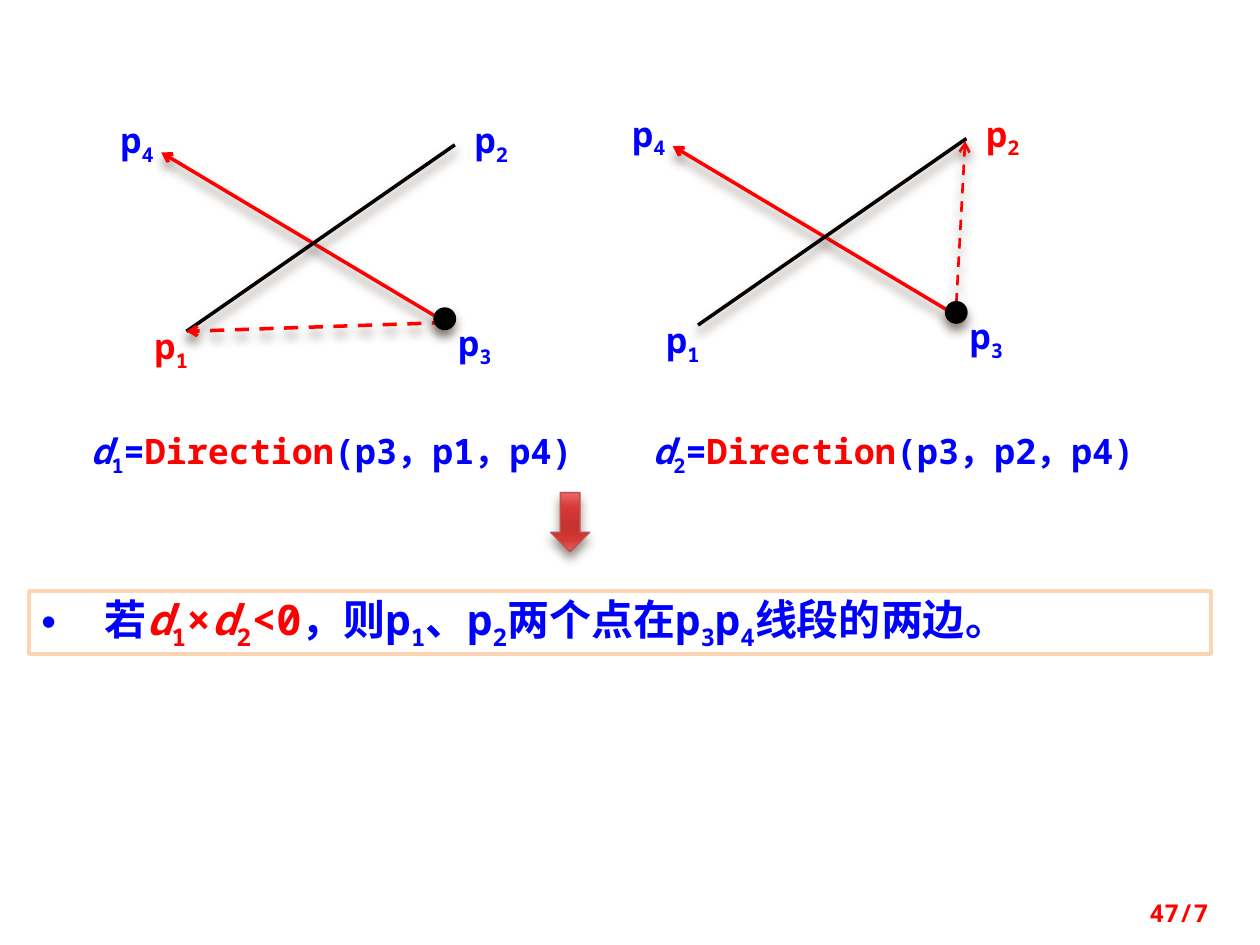
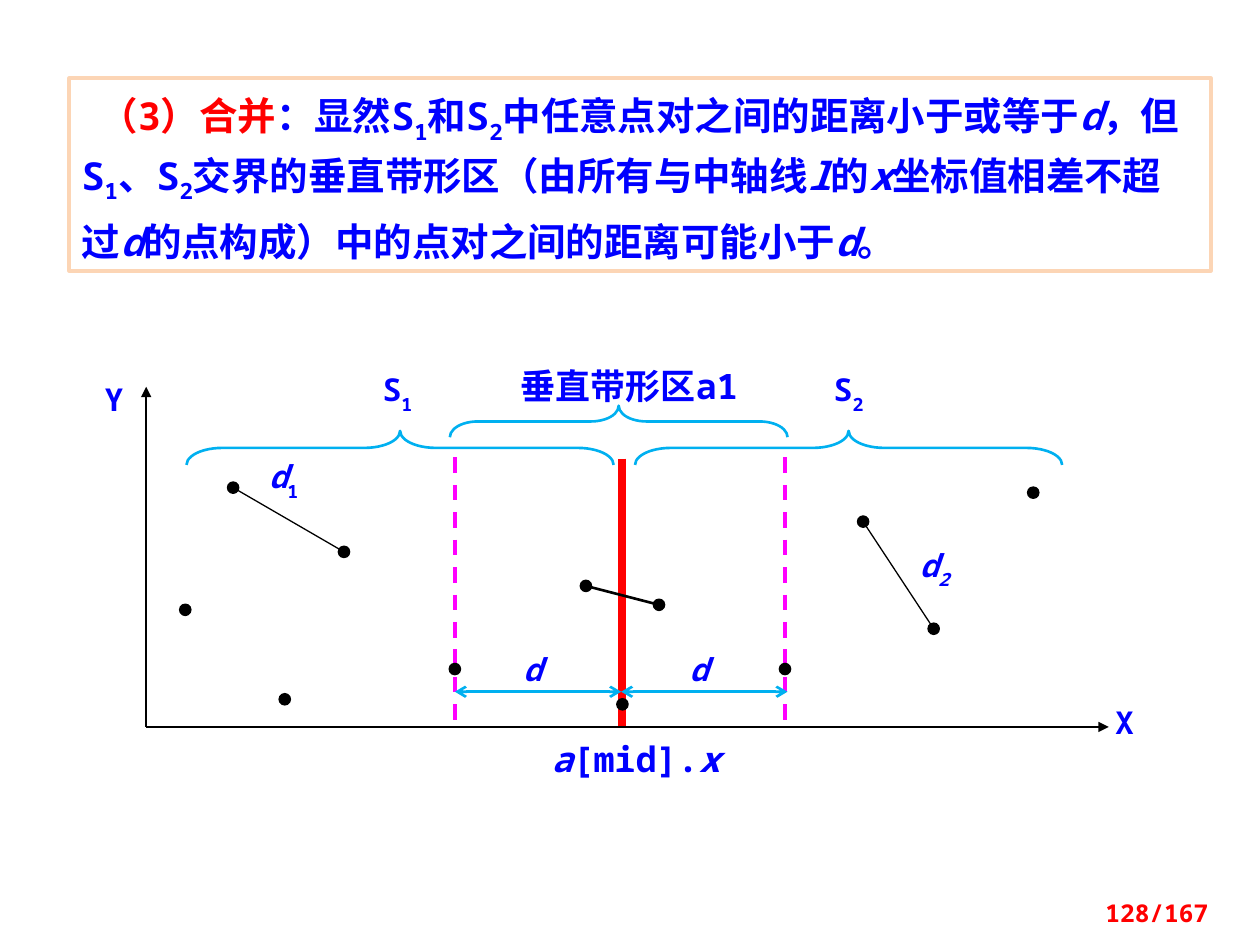
from pptx import Presentation
from pptx.dml.color import RGBColor
from pptx.enum.dml import MSO_LINE
from pptx.enum.shapes import MSO_CONNECTOR, MSO_SHAPE
from pptx.enum.text import MSO_ANCHOR, PP_ALIGN
from pptx.oxml.ns import qn
from pptx.util import Inches, Pt
from lxml.etree import SubElement

FONT = "Noto Sans Mono"
BLUE = RGBColor(0x00, 0x00, 0xFF)
RED = RGBColor(0xFF, 0x00, 0x00)
BLACK = RGBColor(0x00, 0x00, 0x00)
WHITE = RGBColor(0xFF, 0xFF, 0xFF)
PEACH = RGBColor(0xFC, 0xD5, 0xB5)
CYAN = RGBColor(0x00, 0xB0, 0xF0)
MAGENTA = RGBColor(0xFF, 0x00, 0xFF)
BRICK = RGBColor(0xC0, 0x50, 0x4D)
SHADOW = RGBColor(0x4E, 0x3B, 0x30)
ARROW_STOPS = [(0, "E86A68"), (25, "D73936"), (50, "C83330"),
               (65, "C83330"), (80, "D53935"), (100, "E26260")]


def write_runs(p, runs, size, sub=-25):
    """Flags: i italic, s subscript, r red."""
    for text, flags in runs:
        r = p.add_run()
        r.text = text
        r.font.name = FONT
        r.font.size = Pt(size)
        r.font.bold = True
        r.font.italic = "i" in flags
        r.font.color.rgb = RED if "r" in flags else BLUE
        rPr = r._r.get_or_add_rPr()
        SubElement(rPr, qn("a:ea")).set("typeface", FONT)
        if "s" in flags:
            rPr.set("baseline", str(sub * 1000))


def set_effects(sp, shadow=False):
    effects = SubElement(sp._element.spPr, qn("a:effectLst"))
    if shadow:
        outer = SubElement(effects, qn("a:outerShdw"), blurRad=str(Pt(6)),
                           dist=str(Pt(4)), dir="5400000", rotWithShape="0")
        color = SubElement(outer, qn("a:srgbClr"), val=str(SHADOW))
        SubElement(color, qn("a:alpha"), val="60000")


def add_shape(s, kind, x, y, w, h, fill=None, line=None, width=0.75, shadow=False):
    sp = s.shapes.add_shape(kind, Inches(x), Inches(y), Inches(w), Inches(h))
    if fill is None:
        sp.fill.background()
    else:
        sp.fill.solid()
        sp.fill.fore_color.rgb = fill
    if line is None:
        sp.line.fill.background()
    else:
        sp.line.color.rgb = line
        sp.line.width = Pt(width)
    set_effects(sp, shadow)
    return sp


def add_line(s, start, end, color, width, dash=False, head=None, tail=None, shadow=False):
    sp = s.shapes.add_connector(MSO_CONNECTOR.STRAIGHT,
                                *(Inches(v) for v in (*start, *end)))
    sp.line.color.rgb = color
    sp.line.width = Pt(width)
    if dash:
        sp.line.dash_style = MSO_LINE.DASH
    ln = sp.line._get_or_add_ln()
    for tag, kind in (("a:headEnd", head), ("a:tailEnd", tail)):
        if kind:
            SubElement(ln, qn(tag), type=kind)
    set_effects(sp, shadow)


def add_text(s, x, y, w, h, runs, size=20, align=PP_ALIGN.LEFT):
    tf = s.shapes.add_textbox(Inches(x), Inches(y), Inches(w), Inches(h)).text_frame
    tf.word_wrap = True
    p = tf.paragraphs[0]
    p.alignment = align
    write_runs(p, runs, size)


def add_label(s, x, y, w, runs, size=18, h=0.34):
    tf = add_shape(s, MSO_SHAPE.RECTANGLE, x, y, w, h, WHITE).text_frame
    tf.margin_left = tf.margin_right = tf.margin_top = tf.margin_bottom = 0
    tf.vertical_anchor = MSO_ANCHOR.TOP
    tf.word_wrap = True
    tf.paragraphs[0].alignment = PP_ALIGN.CENTER
    write_runs(tf.paragraphs[0], runs, size, -30)


def add_statement(s, x, y, w, h, runs, size):
    sp = add_shape(s, MSO_SHAPE.RECTANGLE, x, y, w, h, WHITE, PEACH, 2)
    tf = sp.text_frame
    tf.word_wrap = True
    p = tf.paragraphs[0]
    p.alignment = PP_ALIGN.LEFT
    write_runs(p, runs, size)
    return p


def add_dot(s, x, y, size=0.09, width=0.75, shadow=False):
    add_shape(s, MSO_SHAPE.OVAL, x - size / 2, y - size / 2, size, size,
              BLACK, BLACK, width, shadow)


def add_brace(s, x, y, w, depth, curve):
    sp = add_shape(s, MSO_SHAPE.LEFT_BRACE, x + (w - depth) / 2, y + (depth - w) / 2,
                   depth, w, None, CYAN, 1.5)
    sp.rotation = 90
    sp.adjustments[0] = curve
    sp.adjustments[1] = 0.5


def new_slide(prs, page):
    s = prs.slides.add_slide(prs.slide_layouts[6])
    add_text(s, 8.52, 7.08, 1.17, 0.26, [(page, "r")], 14, PP_ALIGN.RIGHT)
    return s


def crossing_segments(s, x, y, target, dash_start, dash_end, dash_width):
    def at(point):
        return x + point[0], y + point[1]

    p1, p2, p3, p4 = (0.62, 1.74), (2.75, 0.26), (2.68, 1.67), (0.42, 0.32)
    add_line(s, at(p4), at(p3), RED, 2, head="arrow", shadow=True)
    add_line(s, at(p1), at(p2), BLACK, 2, shadow=True)
    add_line(s, at(dash_start), at(dash_end), RED, dash_width, dash=True,
             tail="arrow", shadow=True)
    labels = {"1": (0.27, 1.64), "2": (2.81, 0), "3": (2.68, 1.61), "4": (0, 0)}
    for n, corner in labels.items():
        flag = "r" if n == target else ""
        add_text(s, *at(corner), 0.6, 0.44, [("p", flag), (n, "s" + flag)])
    add_dot(s, x + 2.67, y + 1.64, 0.16, 1.5, True)


def direction_call(s, x, y, n):
    add_text(s, x, y, 4.06, 0.44, [("d", "i"), (n, "s"), ("=", ""), ("Direction", "r"),
                                   (f"(p3，p{n}，p4)", "")])


def result_arrow(s, x, y):
    sp = add_shape(s, MSO_SHAPE.DOWN_ARROW, x, y, 0.31, 0.47, line=BRICK,
                   width=0.79, shadow=True)
    sp.fill.gradient()
    sp.fill.gradient_angle = 270
    stops = sp._element.spPr.find(qn("a:gradFill")).find(qn("a:gsLst"))
    for stop in list(stops):
        stops.remove(stop)
    for pos, color in ARROW_STOPS:
        gs = SubElement(stops, qn("a:gs"), pos=str(pos * 1000))
        SubElement(gs, qn("a:srgbClr"), val=color)


def direction_slide(prs):
    s = new_slide(prs, "47/7")
    p = add_statement(s, 0.23, 4.69, 9.38, 0.5, [
        ("若", ""), ("d", "ir"), ("1", "sr"), ("×", "r"), ("d", "ir"), ("2", "sr"),
        ("<0", "r"), ("，则p", ""), ("1", "s"), ("、p", ""), ("2", "s"),
        ("两个点在p", ""), ("3", "s"), ("p", ""), ("4", "s"), ("线段的两边。", "")], 24)
    pPr = p._p.get_or_add_pPr()
    pPr.set("marL", str(Inches(0.5)))
    pPr.set("indent", str(-Inches(0.5)))
    SubElement(pPr, qn("a:buFont"), typeface="Arial")
    SubElement(pPr, qn("a:buChar"), char="•")
    crossing_segments(s, 0.86, 0.89, "1", (2.68, 1.67), (0.62, 1.74), 2)
    crossing_segments(s, 4.92, 0.84, "2", (2.67, 1.57), (2.74, 0.28), 1.5)
    direction_call(s, 0.62, 3.36, "1")
    direction_call(s, 5.08, 3.36, "2")
    result_arrow(s, 4.37, 3.91)


def strip_diagram(s, x, y):
    mid, strip = x + 4.16, 1.32
    base = y + 2.88
    add_label(s, x + 3.21, y, 2.03, [("垂直带形区a1", "")], 20)
    add_label(s, x + 3.6, y + 2.96, 1.35, [("a", "i"), ("[mid].", ""), ("x", "i")], 20, 0.3)
    for dx, dy, w, runs in [
            (0, 0.13, 0.27, [("Y", "")]),
            (8.02, 2.69, 0.27, [("X", "")]),
            (2.25, 0.05, 0.27, [("S", ""), ("1", "s")]),
            (5.81, 0.05, 0.31, [("S", ""), ("2", "s")]),
            (1.25, 0.74, 0.46, [("d", "i"), ("1", "s")]),
            (6.46, 1.44, 0.37, [("d", "i"), ("2", "is")]),
            (3.32, 2.27, 0.27, [("d", "i")]),
            (4.64, 2.27, 0.27, [("d", "i")])]:
        add_label(s, x + dx, y + dy, w, runs)

    for dx in (0.71, 4.27):
        add_brace(s, x + dx, y + 0.53, 3.39, 0.27, 1.05)
    add_brace(s, x + 2.8, y + 0.33, 2.68, 0.25, 0.88)

    add_line(s, (x + 4.17, y + 0.75), (x + 4.17, base - 0.01), RED, 4.5)
    for side in (-1, 1):
        edge = mid - 0.01 + side * (strip - 0.01)
        add_line(s, (edge, y + 0.74), (edge, base - 0.02), MAGENTA, 2.25, dash=True)
        add_line(s, (mid, y + 2.6), (mid + side * strip, y + 2.6), CYAN, 1.5,
                 head="arrow", tail="arrow")
    corner = (x + 0.39, base)
    add_line(s, corner, (x + 8.03, base), BLACK, 1.5, tail="triangle")
    add_line(s, corner, (x + 0.39, y + 0.18), BLACK, 1.5, tail="triangle")

    pairs = [((1.08, 0.98), (1.96, 1.49), 0.75),
             ((6.08, 1.25), (6.64, 2.1), 0.75),
             ((3.88, 1.76), (4.46, 1.91), 1.5)]
    for (ax, ay), (bx, by), width in pairs:
        add_line(s, (x + ax, y + ay), (x + bx, y + by), BLACK, width)
    singles = [(0.7, 1.95), (1.49, 2.66), (2.84, 2.42), (5.46, 2.42),
               (7.43, 1.02), (4.17, 2.7)]
    for dx, dy in singles + [end for pair in pairs for end in pair[:2]]:
        add_dot(s, x + dx, y + dy)


def merge_slide(prs):
    s = new_slide(prs, "128/167")
    p = add_statement(s, 0.55, 0.62, 9.06, 1.53, [
        ("（3）合并", "r"), ("：显然S", ""), ("1", "s"), ("和S", ""), ("2", "s"),
        ("中任意点对之间的距离小于或等于", ""), ("d", "i"), ("，但S", ""), ("1", "s"),
        ("、S", ""), ("2", "s"), ("交界的垂直带形区（由所有与中轴线", ""), ("l", "i"),
        ("的", ""), ("x", "i"), ("坐标值相差不超过", ""), ("d", "i"),
        ("的点构成）中的点对之间的距离可能小于", ""), ("d", "i"), ("。", "")], 22)
    p.line_spacing = Pt(34)
    p._p.get_or_add_pPr().set("indent", str(Inches(0.14)))
    strip_diagram(s, 0.77, 2.89)


def main():
    prs = Presentation()
    prs.slide_width = Inches(10)
    prs.slide_height = Inches(7.5)
    direction_slide(prs)
    merge_slide(prs)
    prs.save("out.pptx")


if __name__ == "__main__":
    main()
